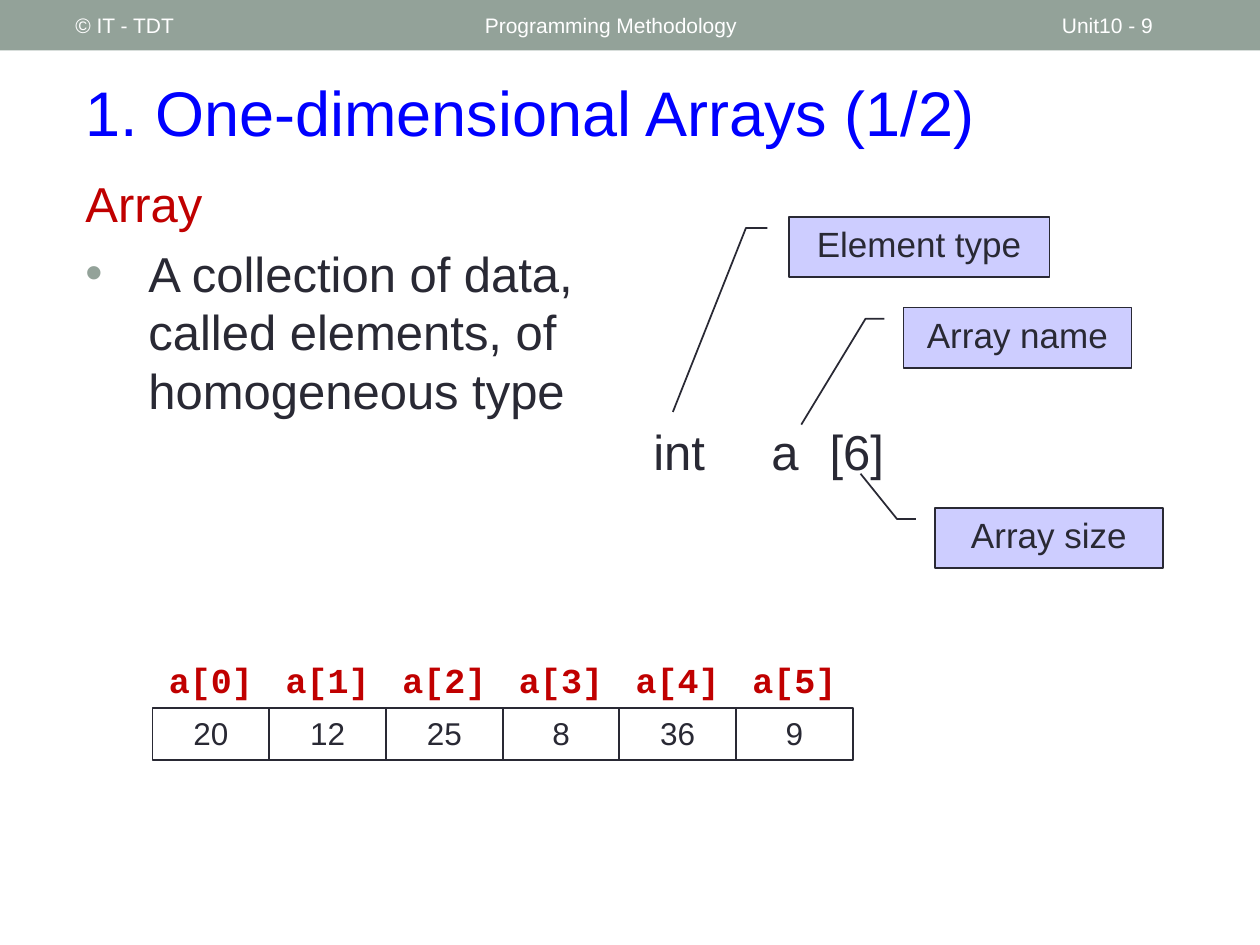
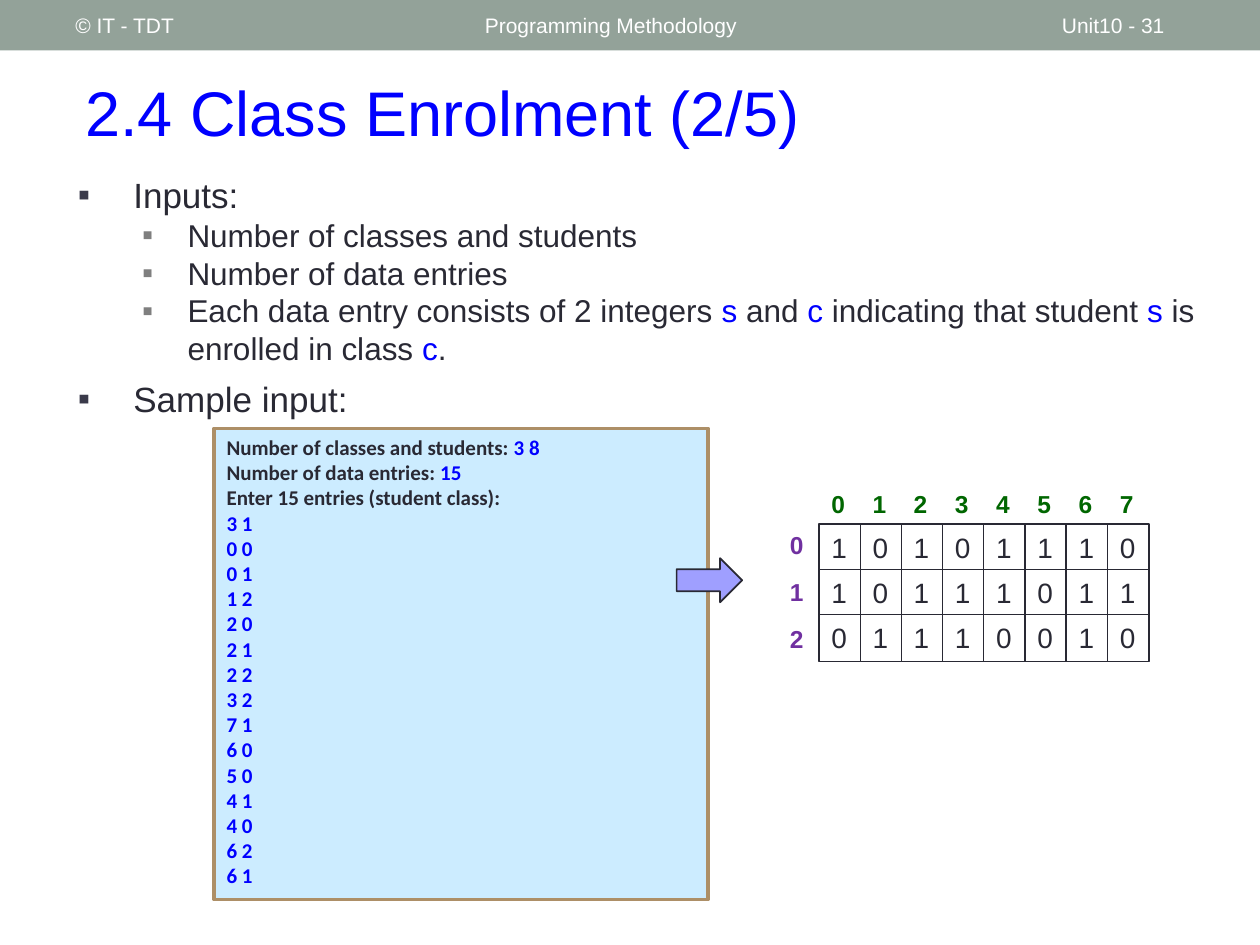
from dataclasses import dataclass

from lxml import etree
from pptx import Presentation
from pptx.dml.color import RGBColor
from pptx.enum import shapes, text
from pptx.oxml.ns import qn
from pptx.util import Inches, Pt


@dataclass(frozen=True)
class Theme:
    font: str = "Arial"
    code_font: str = "Courier New"
    sample_font: str = "Calibri"
    ink: str = "292934"
    white: str = "FFFFFF"
    band: str = "93A299"
    blue: str = "0000FF"
    red: str = "C00000"
    green: str = "006600"
    purple: str = "7030A0"
    bullet: str = "3A3A4A"
    sub_bullet: str = "7F7F7F"
    callout: str = "CDCDFF"
    arrow: str = "9F9FFF"
    sample: str = "CCECFF"
    sample_edge: str = "AD8F67"
    title_size: int = 36
    body_size: int = 28
    label_size: int = 20
    cell_size: int = 18
    matrix_size: int = 16
    index_size: int = 14
    small_size: int = 12


THEME = Theme()
CENTER = text.PP_ALIGN.CENTER
MIDDLE = text.MSO_ANCHOR.MIDDLE


def rgb(color):
    return RGBColor.from_string(color)


def add_run(paragraph, words, color=THEME.ink, **font_format):
    run = paragraph.add_run()
    run.text = words
    run.font.color.rgb = rgb(color)
    for name, value in {"name": THEME.font, **font_format}.items():
        setattr(run.font, name, value)


def set_frame(shape, anchor=text.MSO_ANCHOR.TOP):
    frame = shape.text_frame
    settings = {"word_wrap": True, "vertical_anchor": anchor,
                "auto_size": text.MSO_AUTO_SIZE.NONE}
    for name, value in settings.items():
        setattr(frame, name, value)
    return frame


def add_text(slide, box, words, size, color=THEME.ink, align=None,
             anchor=text.MSO_ANCHOR.TOP, **font_format):
    """Add a text box that holds one paragraph in one format."""
    shape = slide.shapes.add_textbox(*map(Inches, box))
    paragraph = set_frame(shape, anchor).paragraphs[0]
    paragraph.alignment = align
    add_run(paragraph, words, color, size=Pt(size), **font_format)


def style_outline(shape, fill, line, weight):
    shape.shadow.inherit = False
    if fill:
        shape.fill.solid()
        shape.fill.fore_color.rgb = rgb(fill)
    else:
        shape.fill.background()
    if line:
        shape.line.color.rgb = rgb(line)
        shape.line.width = Pt(weight)
    else:
        shape.line.fill.background()


def add_block(slide, box, fill=None, line=THEME.ink, weight=1,
              kind=shapes.MSO_SHAPE.RECTANGLE):
    shape = slide.shapes.add_shape(kind, *map(Inches, box))
    style_outline(shape, fill, line, weight)
    return shape


def add_cell(slide, box, words, size, fill=None, weight=1, align=CENTER):
    paragraph = set_frame(add_block(slide, box, fill, weight=weight)).paragraphs[0]
    paragraph.alignment = align
    add_run(paragraph, words, size=Pt(size))


def add_callout(slide, box, words, leader):
    """Add a labelled box and the bent line that leads to what it names."""
    add_cell(slide, box, words, THEME.label_size, THEME.callout)
    points = [(Inches(x), Inches(y)) for x, y in leader]
    builder = slide.shapes.build_freeform(*points[0])
    builder.add_line_segments(points[1:], close=False)
    style_outline(builder.convert_to_shape(), None, THEME.ink, 1)


def add_bullet(paragraph, symbol, color, left, hanging):
    properties = paragraph._p.get_or_add_pPr()
    properties.set("marL", str(Inches(left)))
    properties.set("indent", str(-Inches(hanging)))
    bullet_color = etree.SubElement(properties, qn("a:buClr"))
    etree.SubElement(bullet_color, qn("a:srgbClr")).set("val", color)
    etree.SubElement(properties, qn("a:buFont")).set("typeface", THEME.font)
    etree.SubElement(properties, qn("a:buChar")).set("char", symbol)


def add_body(slide, box, items):
    """Each item is (runs, size, space before, bullet); runs are (words, color)."""
    frame = set_frame(slide.shapes.add_textbox(*map(Inches, box)))
    for number, (runs, size, before, bullet) in enumerate(items):
        paragraph = frame.add_paragraph() if number else frame.paragraphs[0]
        paragraph.space_before = Pt(before)
        if bullet:
            add_bullet(paragraph, *bullet)
        for words, color in runs:
            add_run(paragraph, words, color, size=Pt(size))


def add_titled_slide(presentation, title, number):
    slide = presentation.slides.add_slide(presentation.slide_layouts[6])
    add_block(slide, (0, 0, 10, 0.4), THEME.band, line=None)
    add_text(slide, (0.58, 0.42, 9.17, 0.92), title, THEME.title_size,
             THEME.blue, anchor=MIDDLE)
    header = [(0.5, 3.17, "© IT - TDT"),
              (3.75, 4.5, "Programming Methodology"),
              (8.33, 1.17, f"Unit10 - {number}")]
    for left, width, words in header:
        add_text(slide, (left, 0.02, width, 0.36), words, THEME.small_size,
                 THEME.white, anchor=MIDDLE)
    return slide


def add_array(slide, values, left=1.21, top=5.62, width=0.93, pitch=0.926):
    for index, value in enumerate(values):
        x = left + index * pitch
        add_cell(slide, (x, top, width, 0.41), str(value), THEME.cell_size)
        add_text(slide, (x, top - 0.44, width, 0.44), f"a[{index}]",
                 THEME.label_size, THEME.red, CENTER,
                 name=THEME.code_font, bold=True)


def add_matrix(slide, rows, left=6.5, top=4.16, pitch=0.327):
    """Draw the class-by-student grid with its row and column indices."""
    side, height = 0.33, 0.37
    for row, values in enumerate(rows):
        for column, value in enumerate(values):
            box = (left + column * pitch, top + row * 0.36, side, height)
            add_cell(slide, box, value, THEME.matrix_size, THEME.white, 0.75, None)
        add_text(slide, (left - side, top + row * height, side, 0.34), str(row),
                 THEME.index_size, THEME.purple, bold=True)
    for column in range(len(rows[0])):
        add_text(slide, (left + column * pitch, top - side, side, 0.34),
                 str(column), THEME.index_size, THEME.green, bold=True)


def add_sample_input(slide, box, prompts, entries):
    """Show program prompts in ink and what the user types in blue."""
    frame = set_frame(add_block(slide, box, THEME.sample, THEME.sample_edge, 2.08))
    lines = prompts + [("", entry) for entry in entries]
    for number, (prompt, answer) in enumerate(lines):
        paragraph = frame.add_paragraph() if number else frame.paragraphs[0]
        paragraph.alignment = text.PP_ALIGN.LEFT
        for words, color in ((prompt, THEME.ink), (answer, THEME.blue)):
            if words:
                add_run(paragraph, words, color, name=THEME.sample_font,
                        size=Pt(THEME.small_size), bold=True)


def build_array_slide(presentation):
    slide = add_titled_slide(presentation, "1. One-dimensional Arrays (1/2)", 9)
    definition = "A collection of data, called elements, of homogeneous type"
    add_body(slide, (0.58, 1.33, 4.23, 2.15), [
        ([("Array", THEME.red)], THEME.body_size, 0, None),
        ([(definition, THEME.ink)], THEME.body_size, 6,
         ("•", THEME.band, 0.5, 0.5)),
    ])
    for left, width, words in [(4.92, 0.94, "int"), (5.86, 0.74, "a"),
                               (6.33, 0.94, "[6]")]:
        add_text(slide, (left, 3.3, width, 0.57), words, THEME.body_size,
                 align=CENTER)
    add_callout(slide, (6.26, 1.72, 2.07, 0.48), "Element type",
                [(6.09, 1.81), (5.92, 1.81), (5.34, 3.27)])
    add_callout(slide, (7.17, 2.44, 1.81, 0.48), "Array name",
                [(7.02, 2.53), (6.87, 2.53), (6.36, 3.37)])
    add_callout(slide, (7.42, 4.03, 1.81, 0.48), "Array size",
                [(7.27, 4.12), (7.12, 4.12), (6.83, 3.76)])
    add_array(slide, [20, 12, 25, 8, 36, 9])


def build_enrolment_slide(presentation):
    slide = add_titled_slide(presentation, "2.4 Class Enrolment (2/5)", 31)
    main_bullet = ("▪", THEME.bullet, 0.44, 0.44)
    sub_bullet = ("▪", THEME.sub_bullet, 0.87, 0.36)
    ink, blue = THEME.ink, THEME.blue
    entry_rule = [("Each data entry consists of 2 integers ", ink), ("s", blue),
                  (" and ", ink), ("c", blue),
                  (" indicating that student ", ink), ("s", blue),
                  (" is enrolled in class ", ink), ("c", blue), (".", ink)]
    details = [[("Number of classes and students", ink)],
               [("Number of data entries", ink)], entry_rule]
    add_body(slide, (0.52, 1.33, 9.23, 2.2), [
        ([("Inputs:", ink)], THEME.label_size, 0, main_bullet),
        *[(runs, THEME.cell_size, 0, sub_bullet) for runs in details],
        ([("Sample input:", ink)], THEME.label_size, 6, main_bullet),
    ])
    prompts = [("Number of classes and students: ", "3 8"),
               ("Number of data entries: ", "15"),
               ("Enter 15 entries (student class):", "")]
    entries = ["3 1", "0 0", "0 1", "1 2", "2 0", "2 1", "2 2", "3 2",
               "7 1", "6 0", "5 0", "4 1", "4 0", "6 2", "6 1"]
    add_sample_input(slide, (1.7, 3.4, 3.92, 3.74), prompts, entries)
    add_block(slide, (5.37, 4.43, 0.52, 0.35), THEME.arrow,
              kind=shapes.MSO_SHAPE.RIGHT_ARROW)
    add_matrix(slide, ["10101110", "10111011", "01110010"])


def main():
    presentation = Presentation()
    presentation.slide_width = Inches(10)
    presentation.slide_height = Inches(7.5)
    build_array_slide(presentation)
    build_enrolment_slide(presentation)
    presentation.save("out.pptx")


if __name__ == "__main__":
    main()
